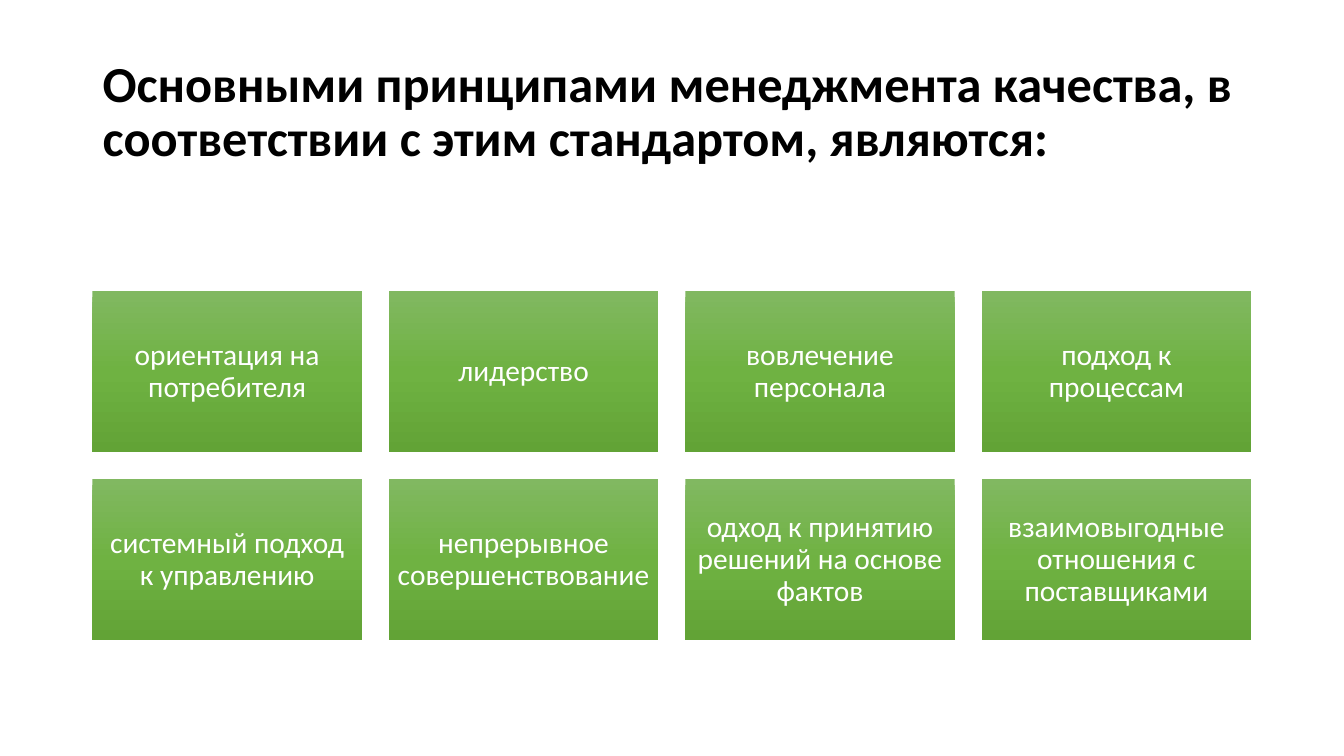
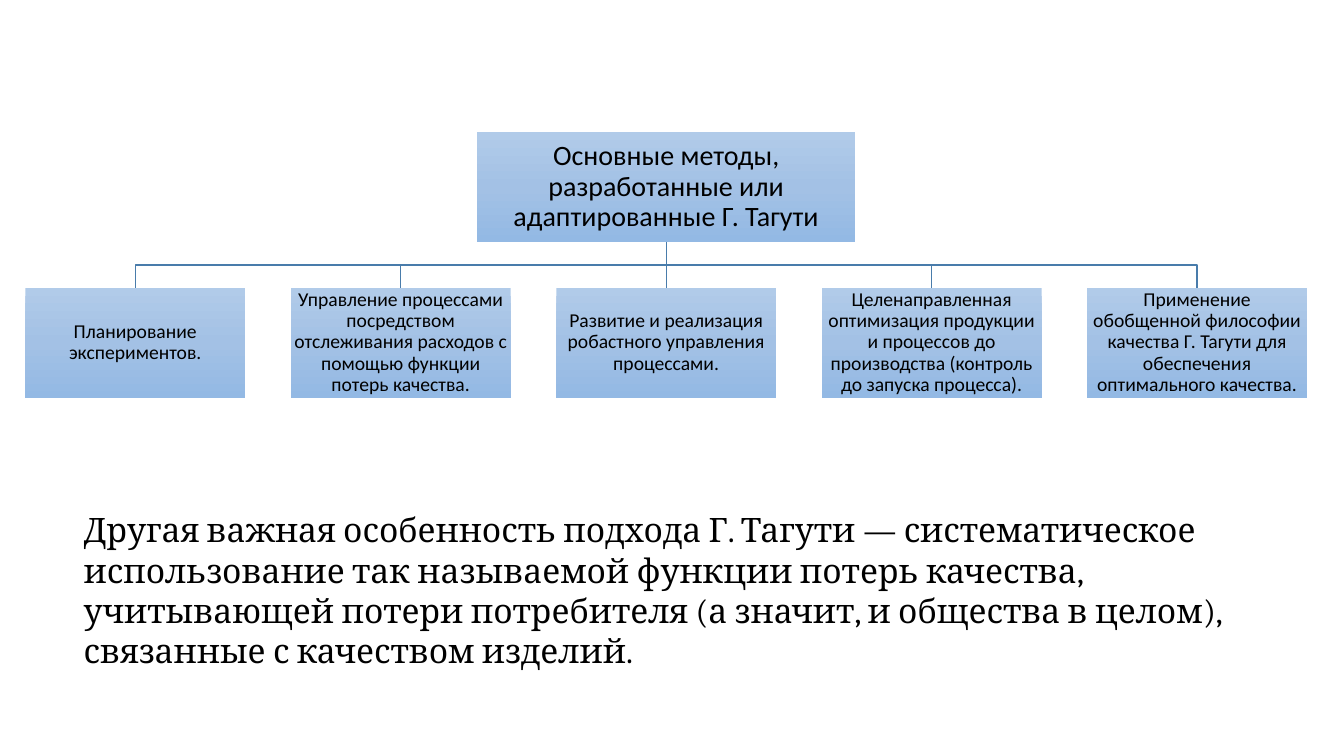
from copy import deepcopy

from lxml.etree import SubElement
from pptx import Presentation
from pptx.dml.color import RGBColor
from pptx.enum.shapes import MSO_CONNECTOR, MSO_SHAPE
from pptx.enum.text import MSO_ANCHOR, MSO_AUTO_SIZE, PP_ALIGN
from pptx.oxml.ns import qn
from pptx.util import Cm, Pt

COLORS = {"text": "000000", "light": "FFFFFF", "line": "497CAB"}
GREEN = ["81B861", "6FB242", "62A336"]
BLUE = ["B1CBE9", "A3C1E5", "93B9E4"]


def style(frame, text, size, color, font="Calibri"):
    """Write one paragraph into the frame and set its font."""
    frame.word_wrap = True
    frame.auto_size = MSO_AUTO_SIZE.NONE
    para = frame.paragraphs[0]
    para.text = text
    para.font.name = font
    para.font.size = Pt(size)
    para.font.color.rgb = RGBColor.from_string(COLORS[color])
    return para


def add_box(slide, place, text, size, color, shades, inset):
    """Add a rectangle with a vertical three-stop gradient and centred text."""
    box = slide.shapes.add_shape(MSO_SHAPE.RECTANGLE, *map(Cm, place))
    box.shadow.inherit = False
    box.line.fill.background()
    box.fill.gradient()
    box.fill.gradient_angle = 270
    stops = box._element.spPr.find(qn("a:gradFill")).find(qn("a:gsLst"))
    stops.insert(1, deepcopy(stops[0]))
    for stop, shade, pos in zip(box.fill.gradient_stops, shades, (0, 0.5, 1)):
        stop.color.rgb = RGBColor.from_string(shade)
        stop.position = pos
    frame = box.text_frame
    frame.margin_left = frame.margin_right = Cm(inset)
    frame.margin_top = frame.margin_bottom = Cm(inset)
    frame.vertical_anchor = MSO_ANCHOR.MIDDLE
    para = style(frame, text, size, color)
    para.alignment = PP_ALIGN.CENTER
    para.line_spacing = 0.9


prs = Presentation()
prs.slide_width, prs.slide_height = Cm(33.87), Cm(19.05)

# Slide 1: grid of principles
slide = prs.slides.add_slide(prs.slide_layouts[5])
title = slide.shapes.title
title.left, title.top, title.width, title.height = map(Cm, (2.33, 1.01, 29.21, 3.68))
title.text_frame.vertical_anchor = MSO_ANCHOR.MIDDLE
para = style(
    title.text_frame,
    "Основными принципами менеджмента качества, в соответствии с этим стандартом, являются:",
    36, "text")
para.font.bold = True
para.alignment = PP_ALIGN.LEFT
para.line_spacing = 0.9

rules = [
    "ориентация на потребителя",
    "лидерство",
    "вовлечение персонала",
    "подход к процессам",
    "системный подход к управлению",
    "непрерывное совершенствование",
    "одход к принятию решений на основе фактов",
    "взаимовыгодные отношения с поставщиками",
]
wide, high, gap = 6.79, 4.06, 0.68
for num, text in enumerate(rules):
    row, col = divmod(num, 4)
    place = (2.33 + col * (wide + gap), 7.34 + row * (high + gap), wide, high)
    add_box(slide, place, text, 21, "light", GREEN, 0.22)

# Slide 2: tree of methods
slide = prs.slides.add_slide(prs.slide_layouts[6])
leaves = [
    "Планирование экспериментов.",
    "Управление процессами посредством отслеживания расходов с помощью функции потерь качества.",
    "Развитие и реализация робастного управления процессами.",
    "Целенаправленная оптимизация продукции и процессов до производства (контроль до запуска процесса).",
    "Применение обобщенной философии качества Г. Тагути для обеспечения оптимального качества.",
]
wide, high, step = 5.54, 2.77, 6.69
root_wide, root_top, leaf_top = 9.53, 3.33, 7.25
lefts = [0.64 + num * step for num in range(len(leaves))]
mids = [left + wide / 2 for left in lefts]
hub = mids[2]
root_end = root_top + high
bar = (root_end + leaf_top) / 2

for mid in reversed(mids):
    if mid == hub:
        branch = slide.shapes.add_connector(
            MSO_CONNECTOR.STRAIGHT, *map(Cm, (hub, root_end, hub, leaf_top)))
        SubElement(branch._element.spPr, qn("a:effectLst"))
    else:
        route = slide.shapes.build_freeform(Cm(hub), Cm(root_end))
        bends = [(hub, bar), (mid, bar), (mid, leaf_top)]
        route.add_line_segments([(Cm(x), Cm(y)) for x, y in bends], close=False)
        branch = route.convert_to_shape()
        branch.fill.background()
        branch.shadow.inherit = False
    branch.line.color.rgb = RGBColor.from_string(COLORS["line"])
    branch.line.width = Pt(1)

add_box(slide, (hub - root_wide / 2, root_top, root_wide, high),
        "Основные методы, разработанные или адаптированные Г. Тагути",
        20, "text", BLUE, 0.02)
for left, text in zip(lefts, leaves):
    add_box(slide, (left, leaf_top, wide, high), text, 14, "text", BLUE, 0.02)

note = slide.shapes.add_textbox(*map(Cm, (1.86, 12.71, 29.85, 4.37)))
style(
    note.text_frame,
    "Другая важная особенность подхода Г. Тагути — систематическое использование "
    "так называемой функции потерь качества, учитывающей потери потребителя "
    "(а значит, и общества в целом), связанные с качеством изделий.",
    24, "text", "Cambria")

prs.save("out.pptx")
